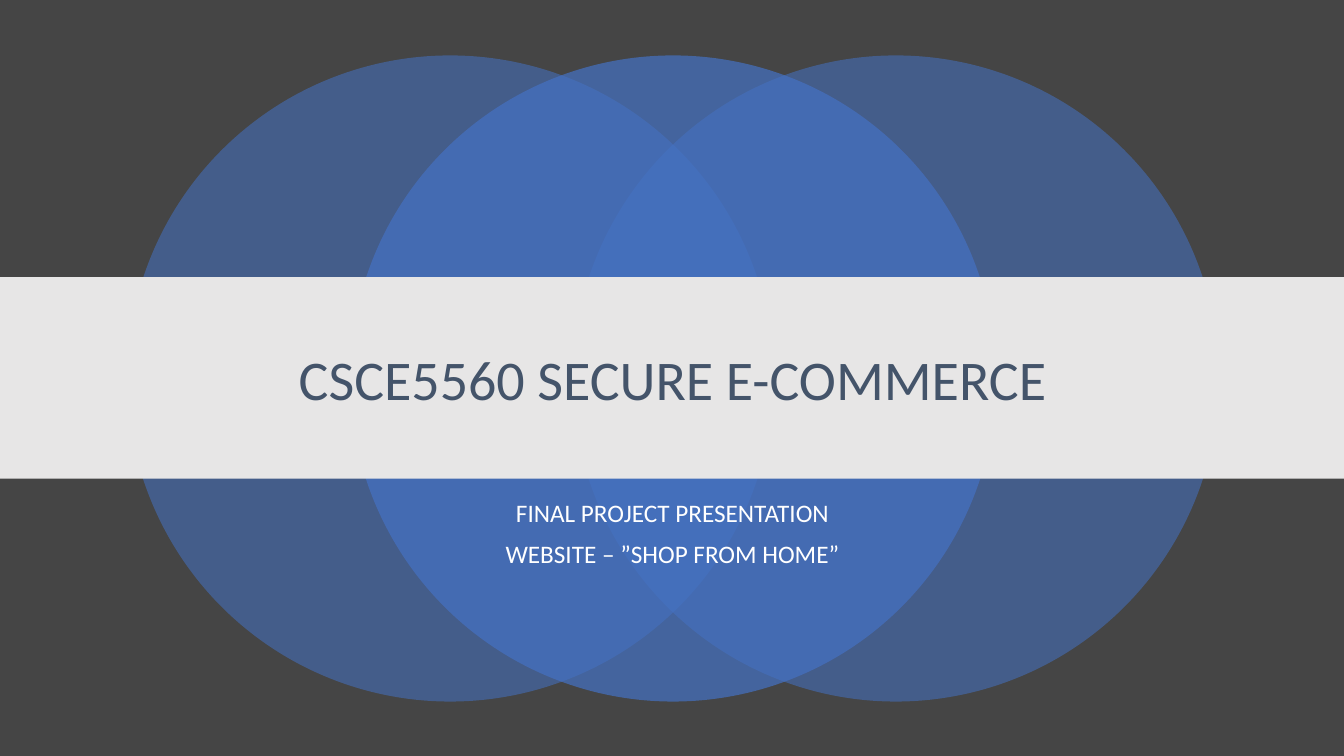
from lxml import etree
from pptx import Presentation
from pptx.dml.color import RGBColor
from pptx.enum.shapes import MSO_SHAPE as Preset
from pptx.enum.text import MSO_ANCHOR as Anchor, PP_ALIGN as Align
from pptx.oxml.ns import qn
from pptx.util import Inches, Pt

COLORS = {
    "background": "454545",
    "circle": "4472C4",
    "band": "E7E6E6",
    "title": "44546A",
    "subtitle": "FFFFFF",
}
FONT = "Calibri"
SLIDE_WIDTH, SLIDE_HEIGHT = 13.33, 7.5


def color(name):
    return RGBColor.from_string(COLORS[name])


def add_plain_shape(slide, preset, box, fill, opacity=100):
    """Add a borderless shape; opacity is a percentage."""
    shape = slide.shapes.add_shape(preset, *map(Inches, box))
    shape.shadow.inherit = False
    shape.line.fill.background()
    shape.fill.solid()
    shape.fill.fore_color.rgb = color(fill)
    if opacity < 100:
        color_element = next(shape.fill._xPr.iter(qn("a:srgbClr")))
        etree.SubElement(color_element, qn("a:alpha"), val=str(opacity * 1000))


def add_centered_text(slide, box, lines, size, fill, anchor, space_before=0):
    text_frame = slide.shapes.add_textbox(*map(Inches, box)).text_frame
    text_frame.word_wrap = True
    text_frame.vertical_anchor = anchor
    text_frame.text = "\n".join(lines)
    for paragraph in text_frame.paragraphs:
        paragraph.alignment = Align.CENTER
        paragraph.line_spacing = 0.9
        paragraph.space_before = Pt(space_before)
        font = paragraph.runs[0].font
        font.name = FONT
        font.size = Pt(size)
        font.color.rgb = color(fill)


def add_circles(slide, box):
    """Overlap three circles across the box, the middle one in front."""
    left, top, width, diameter = box
    step = (width - diameter) / 2
    for position, opacity in ((0, 55), (2, 55), (1, 70)):
        circle = (left + position * step, top, diameter, diameter)
        add_plain_shape(slide, Preset.OVAL, circle, "circle", opacity)


def add_title_band(slide, box):
    left, top, width, height = box
    add_plain_shape(slide, Preset.RECTANGLE, box, "band")
    title_box = (left + 1.67, top + 0.29, width - 3.33, height - 0.49)
    add_centered_text(slide, title_box, ["CSCE5560 SECURE E-COMMERCE"],
                      40, "title", Anchor.MIDDLE)


def add_subtitle(slide, box):
    lines = ["FINAL PROJECT PRESENTATION", "WEBSITE – ”SHOP FROM HOME”"]
    add_centered_text(slide, box, lines, 18, "subtitle", Anchor.TOP, 10)


def main():
    presentation = Presentation()
    presentation.slide_width = Inches(SLIDE_WIDTH)
    presentation.slide_height = Inches(SLIDE_HEIGHT)
    slide = presentation.slides.add_slide(presentation.slide_layouts[6])
    slide.background.fill.solid()
    slide.background.fill.fore_color.rgb = color("background")
    add_circles(slide, (1.26, 0.55, 10.83, 6.41))
    add_title_band(slide, (0, 2.75, SLIDE_WIDTH, 2))
    add_subtitle(slide, (1.67, 4.92, 10, 0.83))
    presentation.save("out.pptx")


if __name__ == "__main__":
    main()
